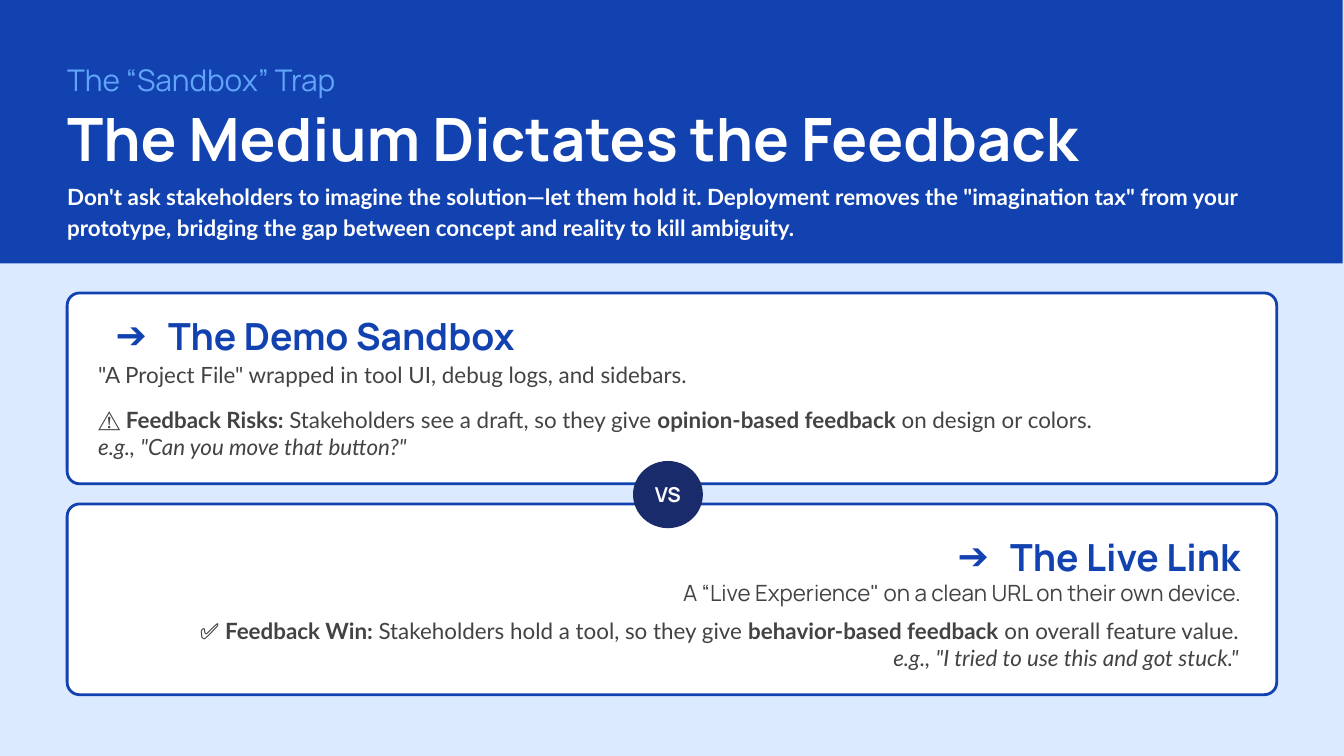
"""Build a slide that compares a demo sandbox with a live link."""
from dataclasses import dataclass

from lxml import etree
from pptx import Presentation
from pptx import util as u
from pptx.dml.color import RGBColor
from pptx.enum import shapes, text
from pptx.oxml import ns

COLORS = {
    "blue": "1241B0", "pale": "DBEAFE", "sky": "60A5FA", "navy": "1A2B6B",
    "white": "FFFFFF", "snow": "FCFCFC", "gray": "434343",
}
WIDTH, HEIGHT = u.Inches(10), u.Inches(5.625)
COLUMN, ROW = WIDTH / 100, HEIGHT / 100
LEFT, CENTER, RIGHT = text.PP_ALIGN.LEFT, text.PP_ALIGN.CENTER, text.PP_ALIGN.RIGHT
TOP, MIDDLE = text.MSO_ANCHOR.TOP, text.MSO_ANCHOR.MIDDLE
SHAPE = shapes.MSO_SHAPE


@dataclass(frozen=True)
class Area:
    """A rectangle on a grid of 100 columns by 100 rows."""
    column: float
    row: float
    columns: float
    rows: float

    def lengths(self) -> list[int]:
        """Return left, top, width and height in slide units."""
        return [round(self.column * COLUMN), round(self.row * ROW),
                round(self.columns * COLUMN), round(self.rows * ROW)]


@dataclass(frozen=True)
class Span:
    """A stretch of text with its emphasis."""
    words: str
    bold: bool = False
    italic: bool = False
    new_line: bool = False


@dataclass(frozen=True)
class Style:
    """The look shared by all paragraphs of a box."""
    size: float
    color: str
    font: str = "Lato"
    bold: bool = False
    align: text.PP_ALIGN = LEFT
    anchor: text.MSO_ANCHOR = MIDDLE
    spacing: float = 1.0
    arrow: bool = False


@dataclass(frozen=True)
class Block:
    """A text block, in a numbered placeholder or a plain text box."""
    area: Area
    style: Style
    paras: list[list[Span]]
    placeholder: int | None = None


HEADING = Style(20, "blue", "Manrope", True, spacing=1.15, arrow=True)
RIGHT_HEADING = Style(20, "blue", "Manrope", True, RIGHT, spacing=1.15, arrow=True)
BADGE = Style(11, "snow", "Manrope", True, CENTER)

CARDS = [Area(5, row, 90, 25.24) for row in (66.67, 38.76)]
BLOCKS = [
    Block(Area(5, 8.18, 90, 4.8), Style(16, "sky", "Manrope", anchor=TOP),
          [[Span("The “Sandbox” Trap")]]),
    Block(Area(5, 23.82, 88.8, 7.82), Style(12, "white", bold=True, spacing=1.15),
          [[Span("Don't ask stakeholders to imagine the solution—let them hold it. "
                 "Deployment removes the \"imagination tax\" from your prototype, "
                 "bridging the gap between concept and reality to kill ambiguity.")]]),
    Block(Area(5, 15.29, 90, 7.64), Style(32, "white", "Manrope", True, spacing=0.8),
          [[Span("The Medium Dictates the Feedback")]], 0),
    Block(Area(7.5, 40.89, 69.9, 6.04), HEADING, [[Span("The Demo Sandbox")]], 1),
    Block(Area(7.3, 47.64, 80, 13.33), Style(12, "gray"), [
        [Span("\"A Project File\" wrapped in tool UI, debug logs, and sidebars.")],
        [Span("⚠️ Feedback Risks: ", bold=True),
         Span("Stakeholders see a draft, so they give "),
         Span("opinion-based feedback ", bold=True),
         Span("on design or colors."),
         Span("e.g., \"Can you move that button?\"", italic=True, new_line=True)],
    ], 2),
    Block(Area(22.4, 70.22, 69.9, 6.04), RIGHT_HEADING, [[Span("The Live Link")]], 3),
    Block(Area(12.4, 76.62, 80, 4), Style(12, "gray", "Manrope", align=RIGHT, anchor=TOP),
          [[Span("A “Live Experience\" on a clean URL on their own device.")]]),
    Block(Area(13.6, 81.6, 78.6, 9), Style(12, "gray", align=RIGHT, anchor=TOP), [
        [Span("✅️ "),
         Span("Feedback Win: ", bold=True),
         Span("Stakeholders hold a tool, so they give "),
         Span("behavior-based feedback", bold=True),
         Span(" on overall feature value."),
         Span("e.g., \"I tried to use this and got stuck.\"", italic=True, new_line=True)],
    ], 4),
]


def color(name: str) -> RGBColor:
    """Look up a palette colour."""
    return RGBColor.from_string(COLORS[name])


def set_bullet(para, arrow: bool) -> None:
    """Give a paragraph an arrow bullet or none."""
    props = para._p.get_or_add_pPr()
    props.set("marL", str(u.Inches(0.5) if arrow else 0))
    props.set("indent", str(u.Inches(-0.39) if arrow else 0))
    if arrow:
        tint = etree.SubElement(props, ns.qn("a:buClr"))
        etree.SubElement(tint, ns.qn("a:srgbClr"), val=COLORS["blue"])
        etree.SubElement(props, ns.qn("a:buChar"), char="➔")
    else:
        etree.SubElement(props, ns.qn("a:buNone"))


def write(box, style: Style, paras: list[list[Span]]) -> None:
    """Fill a box with styled paragraphs."""
    frame = box.text_frame
    frame.word_wrap = True
    frame.auto_size = text.MSO_AUTO_SIZE.NONE
    frame.vertical_anchor = style.anchor
    frame.margin_left = frame.margin_right = frame.margin_top = frame.margin_bottom = 0
    for index, spans in enumerate(paras):
        para = frame.add_paragraph() if index else frame.paragraphs[0]
        set_bullet(para, style.arrow)
        para.alignment = style.align
        para.line_spacing = style.spacing
        para.space_before = u.Pt(10 if index else 0)
        para.font.name, para.font.size = style.font, u.Pt(style.size)
        para.font.bold = style.bold
        para.font.color.rgb = color(style.color)
        for span in spans:
            if span.new_line:
                para.add_line_break()
            run = para.add_run()
            run.text = span.words
            run.font.name, run.font.size = style.font, u.Pt(style.size)
            run.font.color.rgb = color(style.color)
            run.font.bold = style.bold or span.bold
            run.font.italic = span.italic


def draw_shape(page, kind: SHAPE, area: Area, fill: str, outline: str | None = None):
    """Draw a flat filled shape, outlined on request."""
    shape = page.shapes.add_shape(kind, *area.lengths())
    shape.shadow.inherit = False
    shape.fill.solid()
    shape.fill.fore_color.rgb = color(fill)
    if outline:
        shape.line.color.rgb = color(outline)
        shape.line.width = u.Pt(1.5)
    else:
        shape.line.fill.background()
    return shape


def draw_block(page, block: Block) -> None:
    """Place a text block in front of what is already drawn."""
    if block.placeholder is None:
        box = page.shapes.add_textbox(*block.area.lengths())
    else:
        box = page.placeholders[block.placeholder]
        box.left, box.top, box.width, box.height = block.area.lengths()
        box.element.getparent().append(box.element)
    write(box, block.style, block.paras)


def main() -> None:
    """Build and save the deck."""
    deck = Presentation()
    deck.slide_width, deck.slide_height = WIDTH, HEIGHT
    page = deck.slides.add_slide(deck.slide_layouts.get_by_name("Comparison"))
    page.background.fill.solid()
    page.background.fill.fore_color.rgb = color("pale")
    for area in CARDS:
        card = draw_shape(page, SHAPE.ROUNDED_RECTANGLE, area, "white", "blue")
        card.adjustments[0] = 0.065
    draw_shape(page, SHAPE.RECTANGLE, Area(-0.1, 0, 100, 34.84), "blue")
    for block in BLOCKS:
        draw_block(page, block)
    badge = draw_shape(page, SHAPE.OVAL, Area(47.1, 60.98, 5.2, 8.89), "navy")
    write(badge, BADGE, [[Span("VS")]])
    deck.save("out.pptx")


if __name__ == "__main__":
    main()
